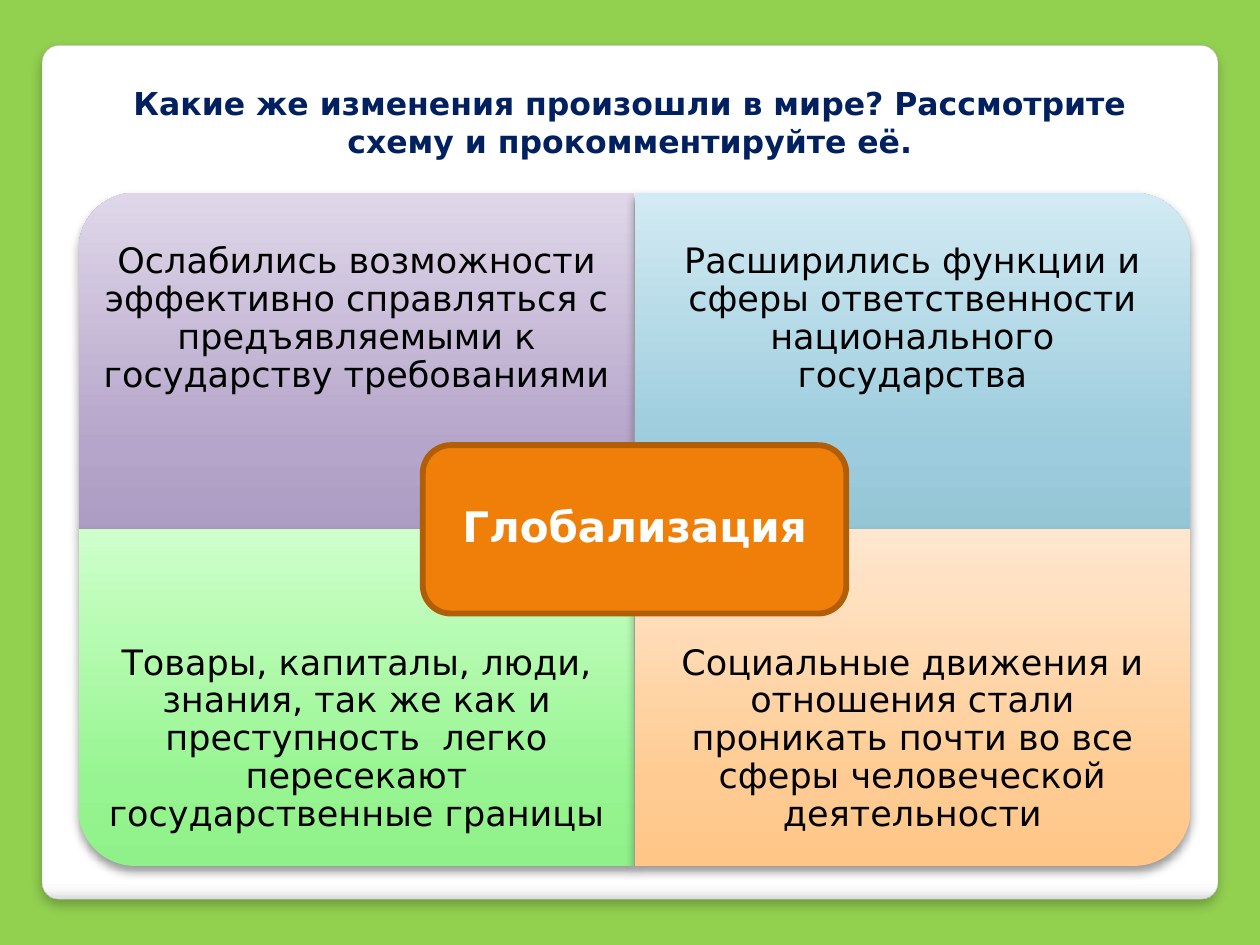
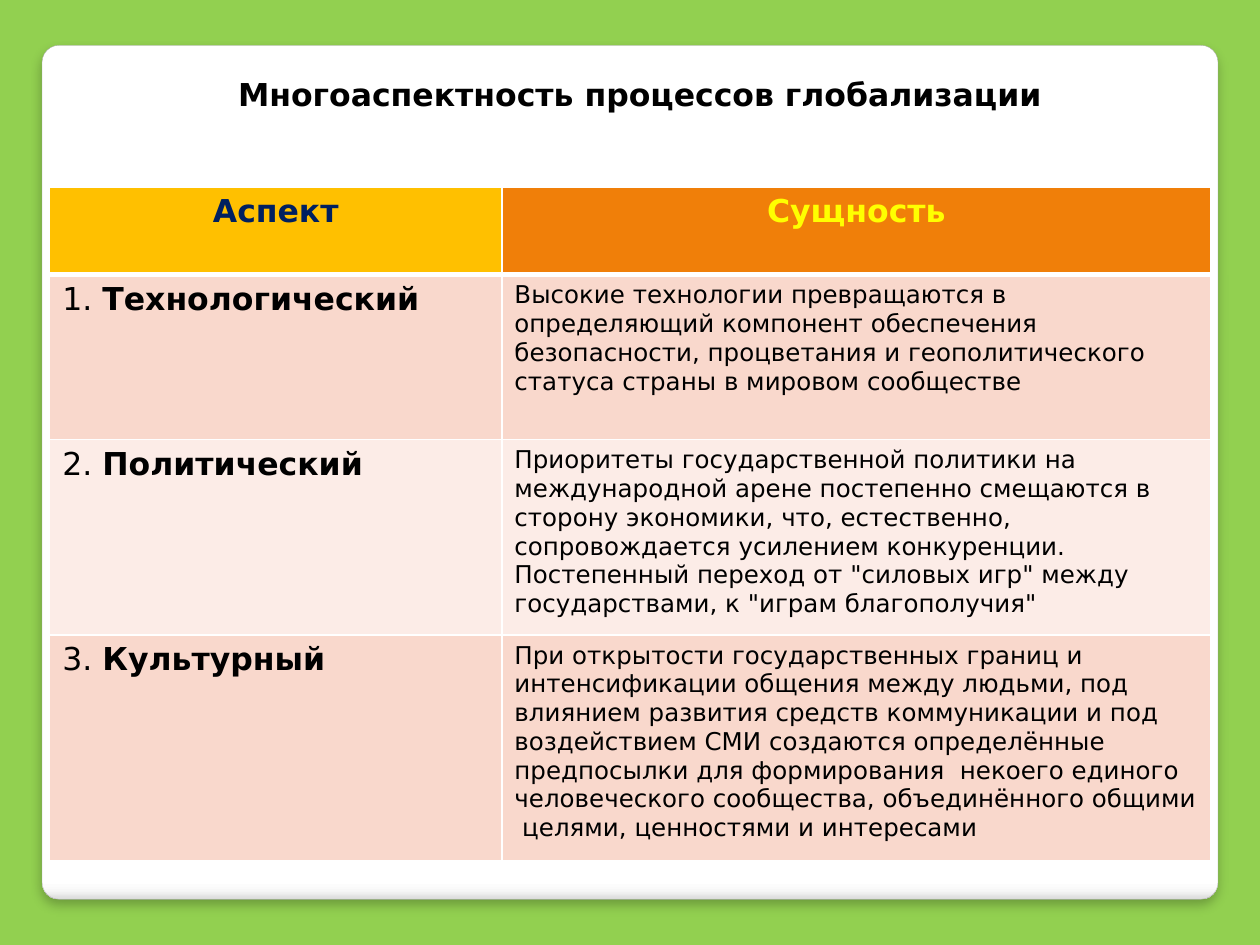
import pptx
import pptx.dml.color
import pptx.enum.shapes
import pptx.enum.text
import pptx.oxml
import pptx.oxml.ns
import pptx.util

Pt = pptx.util.Pt
RGBColor = pptx.dml.color.RGBColor
SHAPES = pptx.enum.shapes.MSO_SHAPE
ANCHOR = pptx.enum.text.MSO_ANCHOR
CENTER = pptx.enum.text.PP_ALIGN.CENTER

FONT = "DejaVu Sans"
GREEN = RGBColor(0x92, 0xD0, 0x50)
NAVY = RGBColor(0x00, 0x20, 0x60)
BLACK = RGBColor(0x00, 0x00, 0x00)
WHITE = RGBColor(0xFF, 0xFF, 0xFF)
ORANGE = RGBColor(0xF0, 0x7F, 0x09)
DARK_ORANGE = RGBColor(0xB2, 0x5E, 0x07)
GOLD = RGBColor(0xFF, 0xC0, 0x00)
YELLOW = RGBColor(0xFF, 0xFF, 0x00)
PINK = RGBColor(0xF9, 0xD8, 0xCC)
PALE_PINK = RGBColor(0xFC, 0xEC, 0xE7)
PANEL_LINE = RGBColor(0xA4, 0xA4, 0xA4)
NAMESPACE = pptx.oxml.ns.nsdecls("a")


def shade(shape, stops, angle, shadow):
    blur, distance, opacity = shadow
    shape.fill.background()
    properties = shape.element.spPr
    empty_fill = properties.find(pptx.oxml.ns.qn("a:noFill"))
    stop_xml = "".join(
        f'<a:gs pos="{position * 1000}"><a:srgbClr val="{color}"/></a:gs>'
        for position, color in stops)
    properties.replace(empty_fill, pptx.oxml.parse_xml(
        f'<a:gradFill {NAMESPACE} rotWithShape="0"><a:gsLst>{stop_xml}</a:gsLst>'
        f'<a:lin ang="{angle * 60000}" scaled="0"/></a:gradFill>'))
    properties.append(pptx.oxml.parse_xml(
        f'<a:effectLst {NAMESPACE}><a:outerShdw blurRad="{Pt(blur)}" '
        f'dist="{Pt(distance)}" dir="5400000" rotWithShape="0">'
        f'<a:srgbClr val="000000"><a:alpha val="{opacity * 1000}"/></a:srgbClr>'
        f'</a:outerShdw></a:effectLst>'))


def style_text(paragraph, size, color, bold=False, alignment=None):
    paragraph.alignment = alignment
    for run in paragraph.runs:
        run.font.name = FONT
        run.font.size = Pt(size)
        run.font.bold = bold
        run.font.color.rgb = color


presentation = pptx.Presentation()
presentation.slide_width = Pt(720)
presentation.slide_height = Pt(540)
layout = presentation.slide_layouts[5]
layout.background.fill.solid()
layout.background.fill.fore_color.rgb = GREEN

titles = [
    ("Какие же изменения произошли в мире? Рассмотрите схему и прокомментируйте её.",
     NAVY, (39.5, 44.6, 641, 51)),
    ("Многоаспектность процессов глобализации", BLACK, (62, 39.5, 607.5, 29)),
]
slides = []
for text, color, box in titles:
    slide = presentation.slides.add_slide(layout)
    title = slide.shapes.title
    title.left, title.top, title.width, title.height = [Pt(value) for value in box]
    title.text_frame.text = text
    title.text_frame.vertical_anchor = ANCHOR.TOP
    title.text_frame.word_wrap = True
    title.text_frame.auto_size = pptx.enum.text.MSO_AUTO_SIZE.NONE
    style_text(title.text_frame.paragraphs[0], 18, color, True, CENTER)
    slides.append(slide)
scheme_slide, aspects_slide = slides

panel = scheme_slide.shapes.add_shape(
    SHAPES.ROUNDED_RECTANGLE, Pt(24), Pt(25.9), Pt(672), Pt(488))
panel.adjustments[0] = 0.02
panel.line.color.rgb = PANEL_LINE
panel.line.width = Pt(0.16)
shade(panel, [(0, "FFFFFF"), (98, "FFFFFF"), (99, "F7F7F7"), (100, "DADADA")],
      90, (6, 4, 25))
layout.placeholders[0].element.addprevious(panel.element)

LEFT, TOP, WIDTH, HEIGHT = 45, 110.2, 317.6, 192.3
TEXT_HEIGHT = 144.5
quadrants = [
    ("Ослабились возможности эффективно справляться с предъявляемыми к государству требованиями",
     270, ("AD9CC3", "B5A5CA", "DFD7E9")),
    ("Расширились функции и сферы ответственности национального государства",
     0, ("95C6D6", "9CCCDD", "D2EAF3")),
    ("Товары, капиталы, люди, знания, так же как и преступность  легко пересекают государственные границы",
     180, ("90F089", "97F591", "CEFFCB")),
    ("Социальные движения и отношения стали проникать почти во все сферы человеческой деятельности",
     90, ("FFC687", "FFCB92", "FFE7CF")),
]
for index, (text, rotation, colors) in enumerate(quadrants):
    row, column = divmod(index, 2)
    left = LEFT + column * WIDTH
    top = TOP + row * HEIGHT
    width, height = (HEIGHT, WIDTH) if rotation % 180 else (WIDTH, HEIGHT)
    quadrant = scheme_slide.shapes.add_shape(
        SHAPES.ROUND_1_RECTANGLE,
        Pt(left + (WIDTH - width) / 2), Pt(top + (HEIGHT - height) / 2),
        Pt(width), Pt(height))
    quadrant.rotation = rotation
    quadrant.line.fill.background()
    shade(quadrant, zip((0, 25, 100), colors), 270, (5.2, 3, 40))

    text_top = top + row * (HEIGHT - TEXT_HEIGHT)
    caption = scheme_slide.shapes.add_textbox(
        Pt(left), Pt(text_top), Pt(WIDTH), Pt(TEXT_HEIGHT))
    frame = caption.text_frame
    frame.word_wrap = True
    frame.vertical_anchor = ANCHOR.MIDDLE
    frame.margin_left = frame.margin_right = Pt(11.2)
    frame.margin_top = frame.margin_bottom = Pt(11.2)
    frame.text = text
    frame.paragraphs[0].line_spacing = 0.9
    style_text(frame.paragraphs[0], 20, BLACK, alignment=CENTER)

hub = scheme_slide.shapes.add_shape(
    SHAPES.ROUNDED_RECTANGLE, Pt(LEFT + WIDTH - 121), Pt(TOP + HEIGHT - 48.1),
    Pt(242), Pt(96.2))
hub.shadow.inherit = False
hub.fill.solid()
hub.fill.fore_color.rgb = ORANGE
hub.line.color.rgb = DARK_ORANGE
hub.line.width = Pt(3.35)
hub.text_frame.text = "Глобализация"
hub.text_frame.vertical_anchor = ANCHOR.MIDDLE
hub.text_frame.paragraphs[0].line_spacing = 0.9
style_text(hub.text_frame.paragraphs[0], 24, WHITE, True, CENTER)

aspects = [
    ("Технологический",
     "Высокие технологии превращаются в определяющий компонент обеспечения безопасности, "
     "процветания и геополитического статуса страны в мировом сообществе"),
    ("Политический",
     "Приоритеты государственной политики на международной арене постепенно смещаются "
     "в сторону экономики, что, естественно,  сопровождается усилением конкуренции. "
     "Постепенный переход от \"силовых игр\" между государствами, к \"играм благополучия\""),
    ("Культурный",
     "При открытости государственных границ и интенсификации общения между людьми, "
     "под влиянием развития средств коммуникации и под воздействием СМИ создаются "
     "определённые предпосылки для формирования  некоего единого человеческого сообщества, "
     "объединённого общими  целями, ценностями и интересами"),
]
table = aspects_slide.shapes.add_table(
    len(aspects) + 1, 2, Pt(28.4), Pt(106.8), Pt(663.6), Pt(385)).table
for column, width in zip(table.columns, (258.4, 405.2)):
    column.width = Pt(width)
for row, height in zip(table.rows, (50.2, 94.2, 111.6, 129)):
    row.height = Pt(height)

headers = [("Аспект", NAVY, GOLD), ("Сущность", YELLOW, ORANGE)]
for column, (text, color, fill) in enumerate(headers):
    cell = table.cell(0, column)
    cell.text_frame.text = text
    cell.fill.solid()
    cell.fill.fore_color.rgb = fill
    style_text(cell.text_frame.paragraphs[0], 18, color, True, CENTER)

for row, (aspect, essence) in enumerate(aspects, 1):
    name_cell, essence_cell = table.cell(row, 0), table.cell(row, 1)
    paragraph = name_cell.text_frame.paragraphs[0]
    for text in (f"{row}. ", aspect):
        paragraph.add_run().text = text
    style_text(paragraph, 18, BLACK)
    paragraph.runs[1].font.bold = True
    essence_cell.text_frame.text = essence
    style_text(essence_cell.text_frame.paragraphs[0], 14, BLACK)
    for cell in (name_cell, essence_cell):
        cell.fill.solid()
        cell.fill.fore_color.rgb = PINK if row % 2 else PALE_PINK

for row in range(len(table.rows)):
    for column in range(len(table.columns)):
        properties = table.cell(row, column)._tc.get_or_add_tcPr()
        widths = {"lnL": 1, "lnR": 1, "lnT": 3 if row == 1 else 1, "lnB": 3 if row == 0 else 1}
        for position, (side, width) in enumerate(widths.items()):
            properties.insert(position, pptx.oxml.parse_xml(
                f'<a:{side} {NAMESPACE} w="{Pt(width)}"><a:solidFill>'
                f'<a:srgbClr val="{WHITE}"/></a:solidFill></a:{side}>'))

presentation.save("out.pptx")
